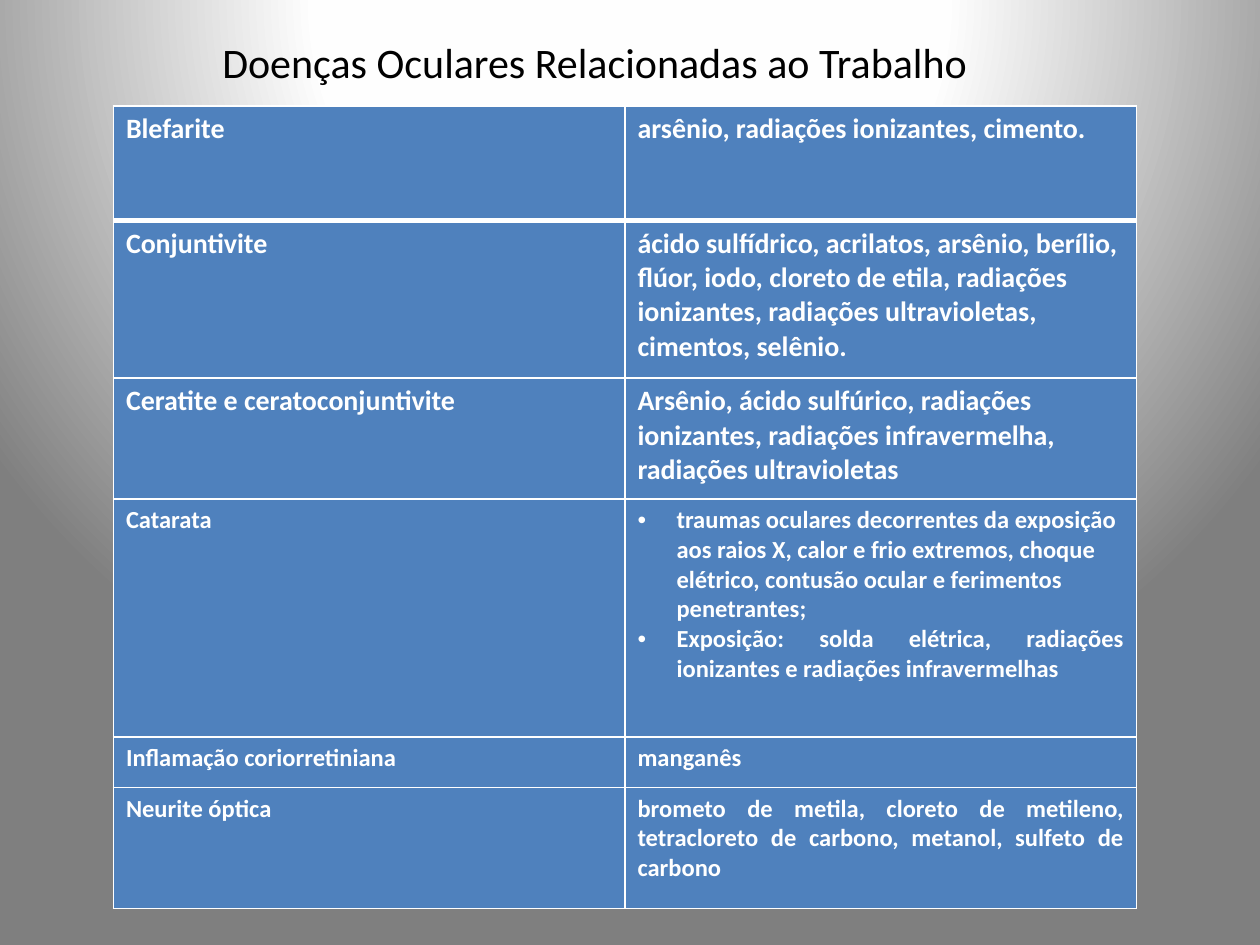
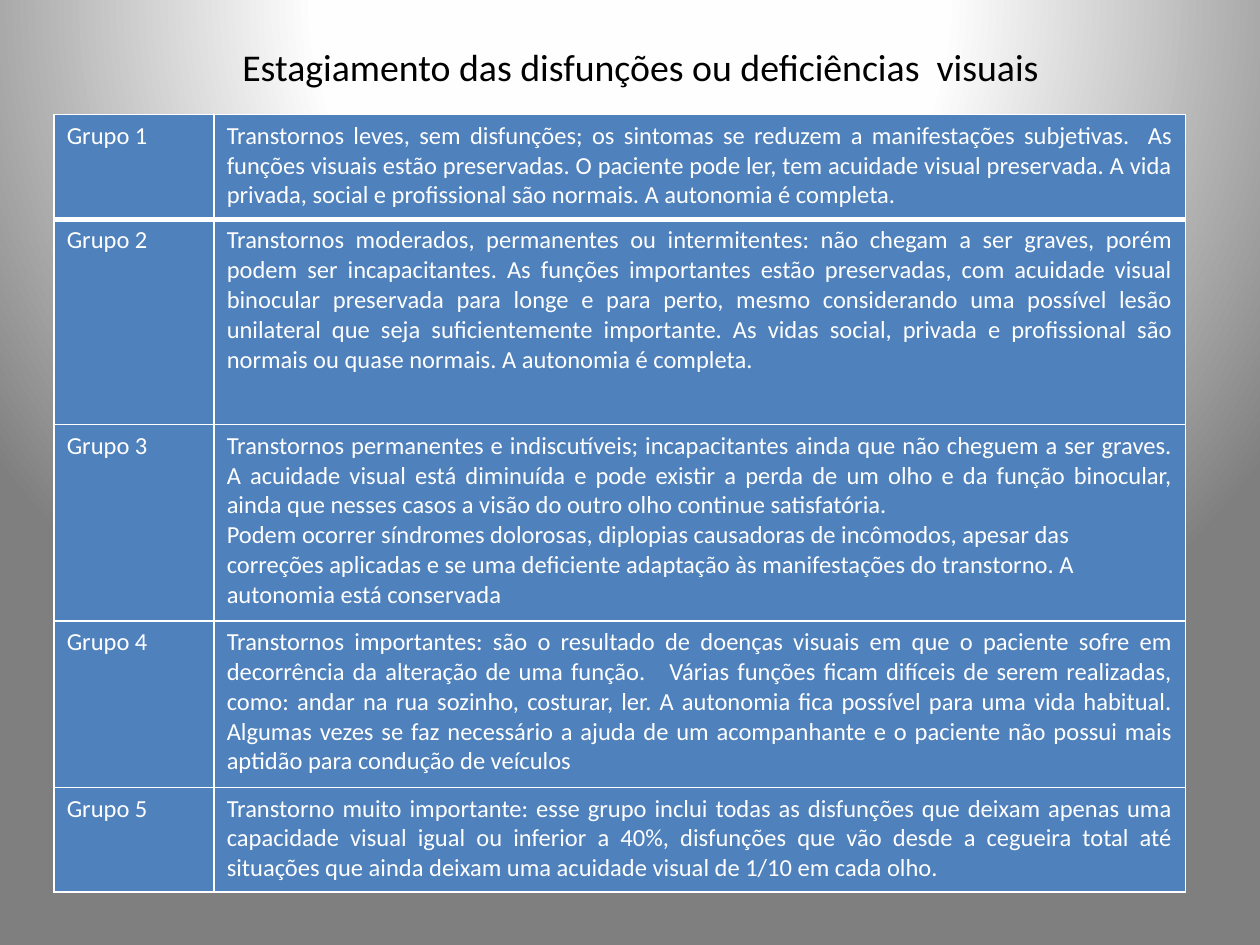
from lxml import etree
from pptx import Presentation
from pptx.dml.color import RGBColor
from pptx.enum.text import MSO_ANCHOR, PP_ALIGN
from pptx.oxml import parse_xml
from pptx.oxml.ns import nsdecls, qn
from pptx.util import Inches, Pt

LEFT, CENTER, JUSTIFY = PP_ALIGN.LEFT, PP_ALIGN.CENTER, PP_ALIGN.JUSTIFY
MIDDLE = MSO_ANCHOR.MIDDLE
FONT = "Calibri"
BLACK, WHITE, BLUE = "000000", "FFFFFF", "4F81BD"
GLOW = [(0, "FFFFFF"), (40, "FEFEFE"), (100, "7F7F7F")]
BULLET_INDENT = Inches(0.31)


def color(value):
    return RGBColor.from_string(value)


def add_text(para, text, size, ink, bold=False, align=LEFT):
    para.alignment = align
    span = para.add_run()
    span.text = text
    span.font.name = FONT
    span.font.size = Pt(size)
    span.font.bold = bold
    span.font.color.rgb = color(ink)


# Each row: height, text size, label, paragraphs as (text, alignment, bulleted)
diseases = [
    (0.91, 16, "Blefarite", [("arsênio, radiações ionizantes, cimento.", LEFT, False)]),
    (1.25, 16, "Conjuntivite", [
        ("ácido sulfídrico, acrilatos, arsênio, berílio, flúor, iodo, cloreto de etila, "
         "radiações ionizantes, radiações ultravioletas, cimentos, selênio.", LEFT, False)]),
    (0.96, 16, "Ceratite e ceratoconjuntivite", [
        ("Arsênio, ácido sulfúrico, radiações ionizantes, radiações infravermelha, "
         "radiações ultravioletas", LEFT, False)]),
    (1.89, 14, "Catarata", [
        ("traumas oculares decorrentes da exposição aos raios X, calor e frio extremos, "
         "choque elétrico, contusão ocular e ferimentos penetrantes;", LEFT, True),
        ("Exposição: solda elétrica, radiações ionizantes e radiações infravermelhas",
         JUSTIFY, True)]),
    (0.4, 14, "Inflamação coriorretiniana", [("manganês", LEFT, False)]),
    (0.96, 14, "Neurite óptica", [
        ("brometo de metila, cloreto de metileno, tetracloreto de carbono, metanol, "
         "sulfeto de carbono", JUSTIFY, False)]),
]

stages = [
    (0.83, 14, "Grupo 1", [
        ("Transtornos leves, sem disfunções; os sintomas se reduzem a manifestações "
         "subjetivas.  As funções visuais estão preservadas. O paciente pode ler, tem "
         "acuidade visual preservada. A vida privada, social e profissional são normais. "
         "A autonomia é completa.", JUSTIFY, False)]),
    (1.63, 14, "Grupo 2", [
        ("Transtornos moderados, permanentes ou intermitentes: não chegam a ser graves, "
         "porém podem ser incapacitantes. As funções importantes estão preservadas, com "
         "acuidade visual binocular preservada para longe e para perto, mesmo considerando "
         "uma possível lesão unilateral que seja suficientemente importante. As vidas "
         "social, privada e profissional são normais ou quase normais. A autonomia é "
         "completa.", JUSTIFY, False)]),
    (1.56, 14, "Grupo 3", [
        ("Transtornos permanentes e indiscutíveis; incapacitantes ainda que não cheguem a "
         "ser graves. A acuidade visual está diminuída e pode existir a perda de um olho e "
         "da função binocular, ainda que nesses casos a visão do outro olho continue "
         "satisfatória.", JUSTIFY, False),
        ("Podem ocorrer síndromes dolorosas, diplopias causadoras de incômodos, apesar das "
         "correções aplicadas e se uma deficiente adaptação às manifestações do transtorno. "
         "A autonomia está conservada", LEFT, False)]),
    (1.32, 14, "Grupo 4", [
        ("Transtornos importantes: são o resultado de doenças visuais em que o paciente "
         "sofre em decorrência da alteração de uma função.   Várias funções ficam difíceis "
         "de serem realizadas, como: andar na rua sozinho, costurar, ler. A autonomia fica "
         "possível para uma vida habitual. Algumas vezes se faz necessário a ajuda de um "
         "acompanhante e o paciente não possui mais aptidão para condução de veículos",
         JUSTIFY, False)]),
    (0.83, 14, "Grupo 5", [
        ("Transtorno muito importante: esse grupo inclui todas as disfunções que deixam "
         "apenas uma capacidade visual igual ou inferior a 40%, disfunções que vão desde a "
         "cegueira total até situações que ainda deixam uma acuidade visual de 1/10 em cada "
         "olho.", JUSTIFY, False)]),
]

# Each slide: title, its size and place, table corner, column widths, bold, rows
slides = [
    ("Doenças Oculares Relacionadas ao Trabalho", 24, (0.5, 0.3, 8.44, 0.38),
     (0.9, 0.84), (4.06, 4.06), True, diseases),
    ("Estagiamento das disfunções ou deficiências  visuais", 21.6, (0.67, 0.3, 8.83, 0.46),
     (0.43, 0.91), (1.27, 7.71), False, stages),
]

deck = Presentation()
deck.slide_width, deck.slide_height = Inches(10), Inches(7.5)

for title, title_size, title_place, corner, widths, bold, rows in slides:
    page = deck.slides.add_slide(deck.slide_layouts[6])

    # Background: glow from above the top edge
    stops = "".join(f'<a:gs pos="{at * 1000}"><a:srgbClr val="{value}"/></a:gs>'
                    for at, value in GLOW)
    page.element.cSld.insert(0, parse_xml(
        f'<p:bg {nsdecls("p", "a")}><p:bgPr><a:gradFill rotWithShape="1">'
        f'<a:gsLst>{stops}</a:gsLst><a:path path="circle">'
        '<a:fillToRect l="50000" t="-80000" r="50000" b="180000"/></a:path>'
        '</a:gradFill><a:effectLst/></p:bgPr></p:bg>'))

    # Title
    box = page.shapes.add_textbox(*map(Inches, title_place))
    box.text_frame.word_wrap = True
    box.text_frame.vertical_anchor = MIDDLE
    add_text(box.text_frame.paragraphs[0], title, title_size, BLACK, align=CENTER)

    # Table
    heights = [row[0] for row in rows]
    table = page.shapes.add_table(
        len(rows), len(widths), *map(Inches, (*corner, sum(widths), sum(heights)))).table
    table.first_row = table.horz_banding = False
    for column, width in zip(table.columns, widths):
        column.width = Inches(width)

    for row_index, (height, size, label, details) in enumerate(rows):
        table.rows[row_index].height = Inches(height)
        for column_index, content in enumerate([[(label, LEFT, False)], details]):
            cell = table.cell(row_index, column_index)
            cell.fill.solid()
            cell.fill.fore_color.rgb = color(BLUE)

            # White borders, heavier under the first row
            points = {"L": 1, "R": 1, "T": 3 if row_index == 1 else 1,
                      "B": 3 if row_index == 0 else 1}
            for order, (side, weight) in enumerate(points.items()):
                cell._tc.tcPr.insert(order, parse_xml(
                    f'<a:ln{side} {nsdecls("a")} w="{Pt(weight)}"><a:solidFill>'
                    f'<a:srgbClr val="{WHITE}"/></a:solidFill></a:ln{side}>'))

            # Cell paragraphs
            for number, (text, align, bulleted) in enumerate(content):
                frame = cell.text_frame
                para = frame.add_paragraph() if number else frame.paragraphs[0]
                add_text(para, text, size, WHITE, bold, align)
                if bulleted:
                    properties = para._p.get_or_add_pPr()
                    properties.set("marL", str(BULLET_INDENT))
                    properties.set("indent", str(-BULLET_INDENT))
                    etree.SubElement(properties, qn("a:buFont"), typeface="Arial")
                    etree.SubElement(properties, qn("a:buChar"), char="•")

deck.save("out.pptx")
